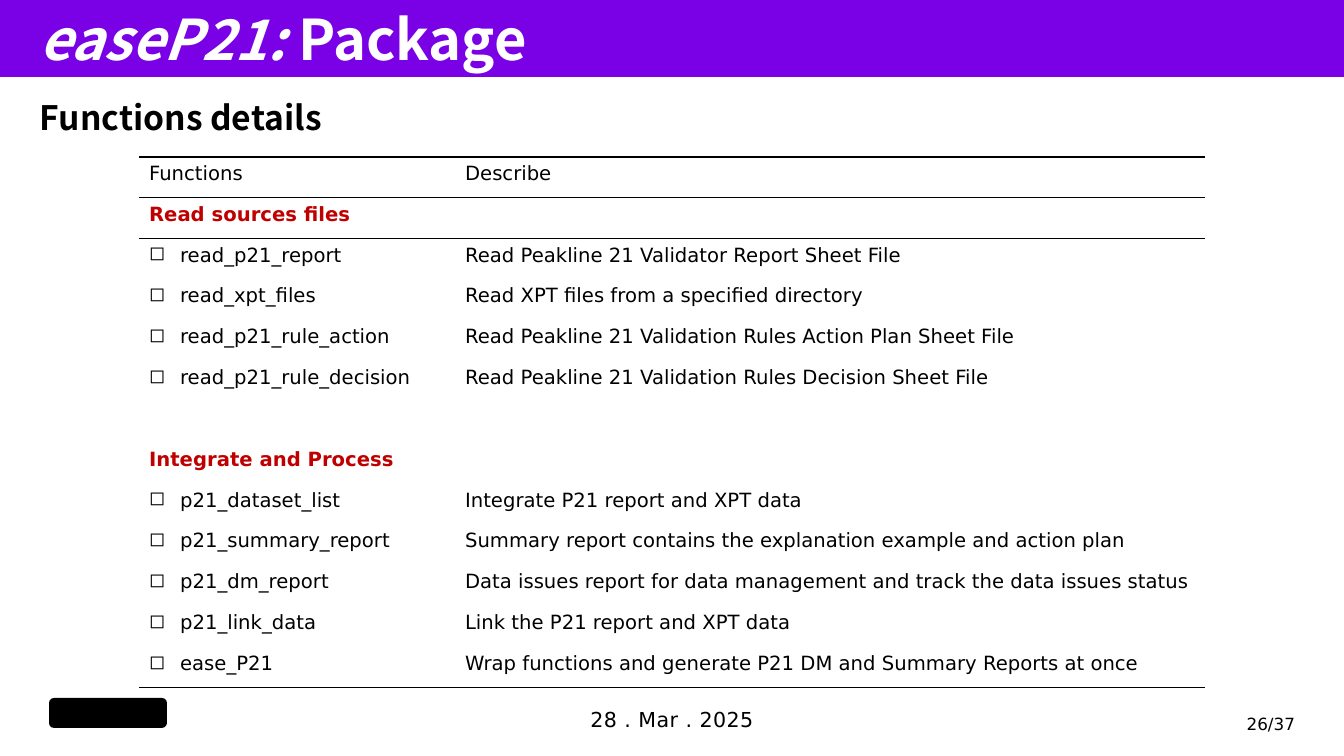
from dataclasses import dataclass

from lxml import etree
from pptx import Presentation
from pptx.dml.color import RGBColor
from pptx.enum.shapes import MSO_SHAPE
from pptx.enum.text import MSO_ANCHOR, MSO_AUTO_SIZE, PP_ALIGN
from pptx.oxml.ns import qn
from pptx.util import Emu, Pt

LEFT, CENTER, RIGHT = PP_ALIGN.LEFT, PP_ALIGN.CENTER, PP_ALIGN.RIGHT
TOP, MIDDLE = MSO_ANCHOR.TOP, MSO_ANCHOR.MIDDLE
NO_AUTOFIT = MSO_AUTO_SIZE.NONE
ROUNDED = MSO_SHAPE.ROUNDED_RECTANGLE

TITLE = [("easeP21: ", True), ("Package", False)]
SUBTITLE = "Functions details"
DATE = "28 . Mar . 2025"
PAGE = "26/37"
HEADER = ("Functions", "Describe")
GROUPS = [
    ("Read sources files", [
        ("read_p21_report", "Read Peakline 21 Validator Report Sheet File"),
        ("read_xpt_files", "Read XPT files from a specified directory"),
        ("read_p21_rule_action", "Read Peakline 21 Validation Rules Action Plan Sheet File"),
        ("read_p21_rule_decision", "Read Peakline 21 Validation Rules Decision Sheet File"),
    ]),
    ("Integrate and Process", [
        ("p21_dataset_list", "Integrate P21 report and XPT data"),
        ("p21_summary_report", "Summary report contains the explanation example and action plan"),
        ("p21_dm_report", "Data issues report for data management and track the data issues status"),
        ("p21_link_data", "Link the P21 report and XPT data"),
        ("ease_P21", "Wrap functions and generate P21 DM and Summary Reports at once"),
    ]),
]

SLIDE_SIZE = (1344, 756)
BAND_BOX = (0, 0, 1344, 77)
SUBTITLE_BOX = (30, 92, 768, 50)
TABLE_BOX = (139, 157, 1066, 531)
FIRST_COLUMN = 316
MARK_BOX = (49, 698, 118, 30)
DATE_BOX = (521, 699, 302, 40)
PAGE_BOX = (1226, 709, 69, 30)
BULLET_INDENT = 31
NO_TABLE_STYLE = "{2D5ABB26-0587-4C30-8999-92F81FD0307C}"


@dataclass(frozen=True)
class Theme:
    purple: str = "7A00E6"
    red: str = "C00000"
    black: str = "000000"
    white: str = "FFFFFF"
    heading_font: str = "Noto Sans CJK SC"
    body_font: str = "DejaVu Sans"
    title_size: float = 40
    subtitle_size: float = 24
    table_size: float = 14
    date_size: float = 14.7
    page_size: float = 12
    rule_width: float = 1


THEME = Theme()


def px(length):
    return Emu(round(length * 914400 / 100.8))


def place(shape, box):
    shape.left, shape.top, shape.width, shape.height = map(px, box)


def write(frame, text, *, size=THEME.table_size, font=THEME.body_font, color=THEME.black,
          bold=False, align=LEFT, anchor=TOP, spacing=None):
    """Fill the first paragraph; text is a string or (text, italic) pairs."""
    frame.word_wrap = True
    frame.vertical_anchor = anchor
    paragraph = frame.paragraphs[0]
    paragraph.alignment = align
    for words, italic in ([(text, False)] if isinstance(text, str) else text):
        run = paragraph.add_run()
        run.text = words
        run.font.size = Pt(size)
        run.font.name = font
        run.font.bold = bold
        run.font.italic = italic
        run.font.color.rgb = RGBColor.from_string(color)
        if spacing:
            run.font._element.set("spc", str(spacing))
    return paragraph


def add_text(slide, box, text, **text_format):
    shape = slide.shapes.add_textbox(*map(px, box))
    write(shape.text_frame, text, **text_format)
    return shape


def add_bullet(paragraph):
    properties = paragraph._p.get_or_add_pPr()
    properties.set("marL", str(px(BULLET_INDENT)))
    properties.set("indent", str(-px(BULLET_INDENT)))
    etree.SubElement(properties, qn("a:buChar")).set("char", "◻")


def add_rules(cell, sides):
    """Draw cell borders; sides holds T and B in that order."""
    properties = cell._tc.get_or_add_tcPr()
    for position, side in enumerate(sides):
        line = etree.Element(qn(f"a:ln{side}"), w=str(Pt(THEME.rule_width)))
        fill = etree.SubElement(line, qn("a:solidFill"))
        etree.SubElement(fill, qn("a:srgbClr")).set("val", THEME.black)
        properties.insert(position, line)


def table_rows():
    rows = [("header", HEADER)]
    for number, (heading, functions) in enumerate(GROUPS):
        if number:
            rows.append(("gap", ("", "")))
        rows.append(("group", (heading, "")))
        rows += [("function", function) for function in functions]
    return rows


def add_function_table(slide):
    rows = table_rows()
    table = slide.shapes.add_table(len(rows), len(HEADER), *map(px, TABLE_BOX)).table
    table.first_row = table.horz_banding = False
    table._tbl.tblPr.find(qn("a:tableStyleId")).text = NO_TABLE_STYLE
    table.columns[0].width = px(FIRST_COLUMN)
    table.columns[1].width = px(TABLE_BOX[2] - FIRST_COLUMN)
    rules = {0: "TB", 1: "T", len(rows) - 1: "B"}

    for row_index, (kind, texts) in enumerate(rows):
        table.rows[row_index].height = px(TABLE_BOX[3] / len(rows))
        for column_index, text in enumerate(texts):
            cell = table.cell(row_index, column_index)
            cell.margin_bottom = 0
            cell.fill.background()
            add_rules(cell, rules.get(row_index, ""))
            if text:
                is_group = kind == "group"
                paragraph = write(cell.text_frame, text, bold=is_group,
                                  color=THEME.red if is_group else THEME.black)
                if kind == "function" and column_index == 0:
                    add_bullet(paragraph)


def add_title(slide):
    title = slide.shapes.title
    place(title, BAND_BOX)
    title.fill.solid()
    title.fill.fore_color.rgb = RGBColor.from_string(THEME.purple)
    frame = title.text_frame
    frame.auto_size = NO_AUTOFIT
    frame.margin_left = px(39)
    write(frame, TITLE, size=THEME.title_size, font=THEME.heading_font,
          color=THEME.white, bold=True, anchor=MIDDLE)


def add_mark(slide):
    mark = slide.shapes.add_shape(ROUNDED, *map(px, MARK_BOX))
    mark.shadow.inherit = False
    mark.fill.solid()
    mark.fill.fore_color.rgb = RGBColor.from_string(THEME.black)
    mark.line.fill.background()


def main():
    presentation = Presentation()
    presentation.slide_width, presentation.slide_height = map(px, SLIDE_SIZE)
    slide = presentation.slides.add_slide(presentation.slide_layouts.get_by_name("Title Only"))
    add_mark(slide)
    add_title(slide)
    add_text(slide, SUBTITLE_BOX, SUBTITLE, size=THEME.subtitle_size,
             font=THEME.heading_font, bold=True)
    add_function_table(slide)
    add_text(slide, DATE_BOX, DATE, size=THEME.date_size, align=CENTER,
             anchor=MIDDLE, spacing=30)
    page = add_text(slide, PAGE_BOX, PAGE, size=THEME.page_size, align=RIGHT, anchor=MIDDLE)
    frame = page.text_frame
    frame.margin_left = frame.margin_right = frame.margin_top = frame.margin_bottom = 0
    presentation.save("out.pptx")


if __name__ == "__main__":
    main()
